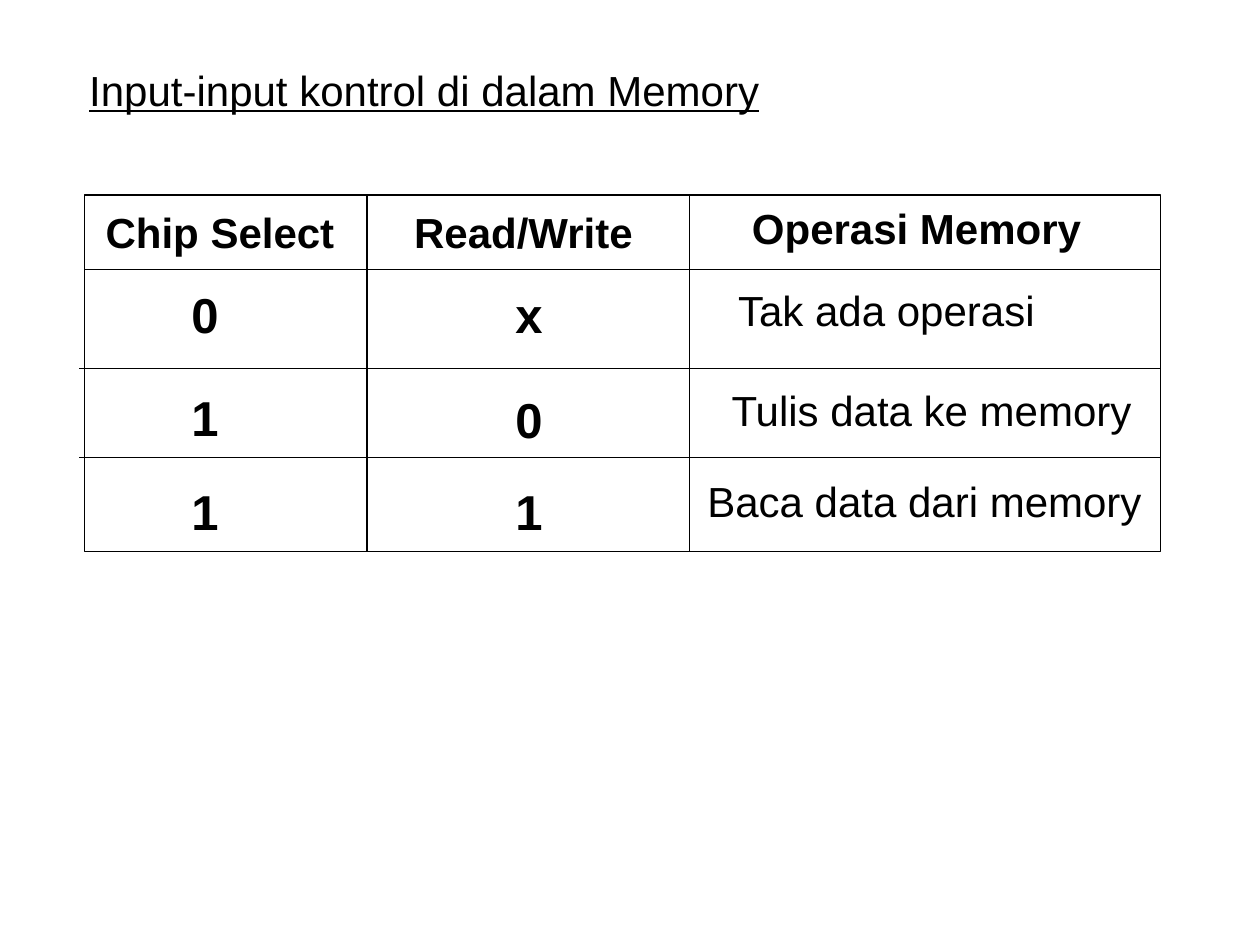
"""Build the slide on memory control inputs."""
import pptx
import pptx.dml.color
import pptx.enum.shapes
import pptx.enum.text
import pptx.oxml.ns
import pptx.util
from lxml import etree

Cm = pptx.util.Cm
COLORS = {"ink": "000000"}
INK = pptx.dml.color.RGBColor.from_string(COLORS["ink"])

prs = pptx.Presentation()
prs.slide_width, prs.slide_height = Cm(25.4), Cm(19.05)
s = prs.slides.add_slide(prs.slide_layouts[6])


def add_text(text, x, y, w, size=24, bold=False, underline=False):
    h = 1.45 if size == 28 else 1.27
    sp = s.shapes.add_textbox(Cm(x), Cm(y), Cm(w), Cm(h))
    tf = sp.text_frame
    tf.word_wrap = False
    tf.auto_size = pptx.enum.text.MSO_AUTO_SIZE.SHAPE_TO_FIT_TEXT
    r = tf.paragraphs[0].add_run()
    r.text = text
    r.font.name = "Arial"
    r.font.size = pptx.util.Pt(size)
    r.font.bold = bold
    r.font.underline = underline
    r.font.color.rgb = INK


def add_line(x1, y1, x2, y2):
    ln = s.shapes.add_connector(
        pptx.enum.shapes.MSO_CONNECTOR.STRAIGHT, Cm(x1), Cm(y1), Cm(x2), Cm(y2))
    ln.line.color.rgb = INK
    ln.line.width = pptx.util.Pt(0.75)
    etree.SubElement(ln.element.spPr, pptx.oxml.ns.qn("a:effectLst"))


left, right = 1.7, 23.39
top, header_bottom, bottom = 3.93, 5.43, 11.12

for y1, y2 in ((top, header_bottom), (header_bottom, bottom)):
    sp = s.shapes.add_shape(pptx.enum.shapes.MSO_SHAPE.RECTANGLE,
                            Cm(left), Cm(y1), Cm(right - left), Cm(y2 - y1))
    sp.shadow.inherit = False
    sp.fill.background()
    sp.line.color.rgb = INK
    sp.line.width = pptx.util.Pt(0.75)

for x in (7.4, 13.9):
    add_line(x, top, x, bottom)
for y in (7.43, 9.22):
    add_line(left - 0.1, y, right, y)

add_text("Input-input kontrol di dalam Memory", 1.55, 1.17, 14.2, underline=True)

for text, x, y, w in (("Chip Select", 1.88, 4.04, 5.2),
                      ("Read/Write", 8.1, 4.04, 5),
                      ("Operasi Memory", 14.91, 3.96, 7.25)):
    add_text(text, x, y, w, bold=True)

for x, column in ((3.61, (("0", 5.62), ("1", 7.68), ("1", 9.58))),
                  (10.14, (("x", 5.62), ("0", 7.72), ("1", 9.58)))):
    for text, y in column:
        add_text(text, x, y, 1.06, size=28, bold=True)

for text, x, y, w in (("Tak ada operasi", 14.63, 5.62, 6.7),
                      ("Tulis data ke memory", 14.5, 7.62, 8.7),
                      ("Baca data dari memory", 14.01, 9.46, 9.4)):
    add_text(text, x, y, w)

prs.save("out.pptx")
